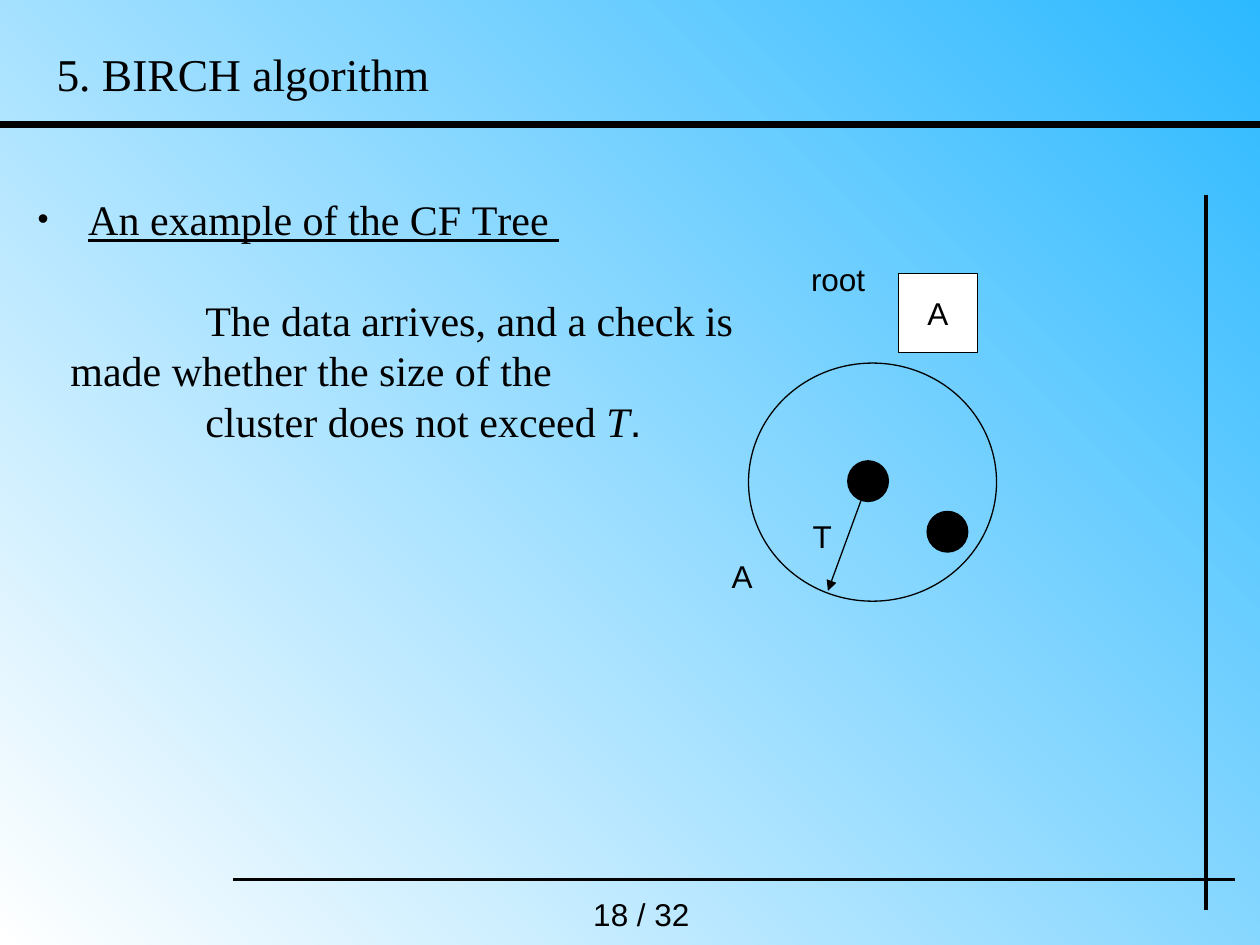
from lxml.etree import SubElement as Sub
from pptx import Presentation
from pptx.dml.color import RGBColor as Rgb
from pptx.enum.shapes import MSO_CONNECTOR as Link, MSO_SHAPE as Kind
from pptx.enum.text import MSO_ANCHOR as Anchor, PP_ALIGN as Align
from pptx.oxml.ns import qn
from pptx.util import Cm, Pt

# Content: lengths in cm, sizes in points
HUES = {"ink": "000000", "paper": "FFFFFF", "sky": "2DB9FF"}
SANS, SERIF = "Arial", "Times New Roman"

RULES = [  # start, end, width
    ((0, 2.51), (25.4, 2.51), 4.5),
    ((4.7, 17.73), (24.89, 17.73), 2),
    ((24.31, 18.34), (24.31, 3.94), 2),
]
LABELS = [  # text, left, top, width, height, font, size, wrap
    ("root", 16.1, 5.11, 1.6, 1.02, SANS, 18, False),
    ("A", 14.5, 11.1, 0.91, 1.02, SANS, 18, False),
    ("T", 16.13, 10.29, 0.89, 1.02, SANS, 18, False),
    ("5. BIRCH algorithm", 0.89, 0.8, 24, 1.37, SERIF, 26, True),
    ("18 / 32", 11.71, 17.91, 2.59, 1.02, SANS, 18, True),
]
HEAD = "An example of the CF Тree "
CHECK = "The data arrives, and a check is made whether the size of the"
LIMIT = "cluster does not exceed "

BODY = (-0.1, 3.78, 16.61, 5.33)
ROOT = (18.11, 5.51, 1.6, 1.6)
RING = (15.09, 7.32, 5, 4.8)
DOT = 0.82
DOTS = [(17.5, 9.7), (19.1, 10.72)]  # centres
TIP = (16.69, 11.91)
LEAD = 28.8


def rgb(name):
    return Rgb.from_string(HUES[name])


def style(para, face, size):
    para.font.name, para.font.size = face, Pt(size)
    para.font.color.rgb = rgb("ink")


def shape(kind, box, fill=None):
    item = slide.shapes.add_shape(kind, *map(Cm, box))
    item.shadow.inherit = False
    if fill:
        item.fill.solid()
        item.fill.fore_color.rgb = rgb(fill)
    else:
        item.fill.background()
    item.line.color.rgb, item.line.width = rgb("ink"), Pt(0.75)
    return item


def line(start, end, width):
    item = slide.shapes.add_connector(Link.STRAIGHT, *map(Cm, start + end))
    item.line.color.rgb, item.line.width = rgb("ink"), Pt(width)
    Sub(item._element.spPr, qn("a:effectLst"))
    return item


def textbox(box, wrap):
    frame = slide.shapes.add_textbox(*map(Cm, box)).text_frame
    frame.word_wrap = wrap
    return frame


def indent(para, left, first):
    props = para._p.get_or_add_pPr()
    props.set("marL", str(Cm(left)))
    props.set("indent", str(Cm(first)))
    para.line_spacing = Pt(LEAD)
    return props


deck = Presentation()
deck.slide_width, deck.slide_height = Cm(25.4), Cm(19.05)
slide = deck.slides.add_slide(deck.slide_layouts[6])

# Background
back = slide.background.fill
back.gradient()
back.gradient_angle = 45
for stop, name in zip(back.gradient_stops, ("paper", "sky")):
    stop.color.rgb = rgb(name)

# Frame lines
for rule in RULES:
    line(*rule)

# Body text
frame = textbox(BODY, True)
head = frame.paragraphs[0]
head.text = HEAD
props = indent(head, 1.63, -1.02)
Sub(props, qn("a:buSzPct"), val="75000")
Sub(props, qn("a:buFont"), typeface=SANS)
Sub(props, qn("a:buChar"), char="•")
style(head, SERIF, 24)
head.font.underline = True

check, limit = frame.add_paragraph(), frame.add_paragraph()
check.text, limit.text = CHECK, LIMIT
check.space_before = Pt(LEAD)
for para in (check, limit):
    indent(para, 1.27, 2.72)
    style(para, SERIF, 24)
for text, face, slant in (("T", SERIF, True), (".", SANS, False)):
    run = limit.add_run()
    run.text, run.font.name, run.font.italic = text, face, slant

# Root node
root = shape(Kind.RECTANGLE, ROOT, "paper").text_frame
root.word_wrap = False
root.vertical_anchor = Anchor.MIDDLE
para = root.paragraphs[0]
para.text, para.alignment = "A", Align.CENTER
style(para, SANS, 18)

# Cluster with its points and radius
for x, y in DOTS:
    shape(Kind.OVAL, (x - DOT / 2, y - DOT / 2, DOT, DOT), "ink")
shape(Kind.OVAL, RING)
arrow = line(DOTS[0], TIP, 0.75)
Sub(arrow.line._get_or_add_ln(), qn("a:tailEnd"), type="triangle")

# Labels, title and page number
for text, *box, face, size, wrap in LABELS:
    para = textbox(box, wrap).paragraphs[0]
    para.text = text
    style(para, face, size)

deck.save("out.pptx")
